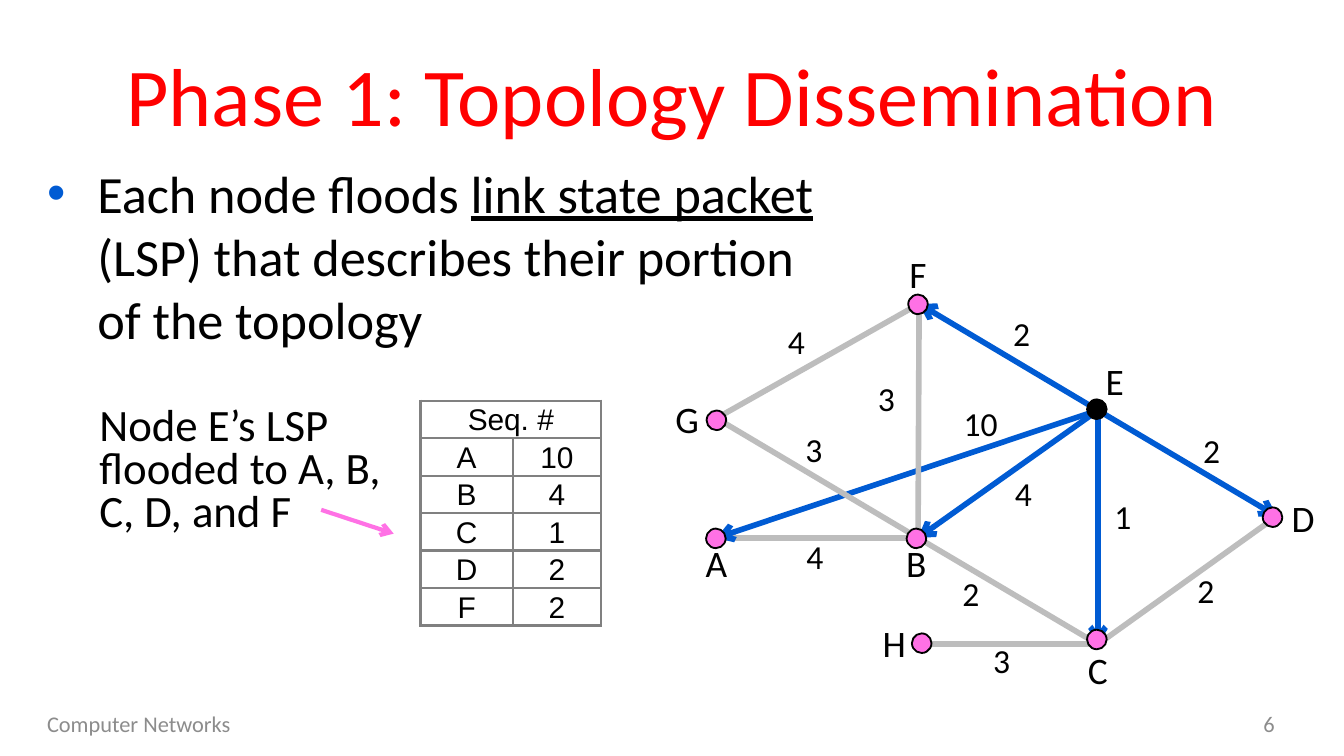
import lxml.etree
import pptx
import pptx.dml.color
import pptx.enum.shapes
import pptx.enum.text
import pptx.oxml.ns
import pptx.util

Cm = pptx.util.Cm
Pt = pptx.util.Pt
RGBColor = pptx.dml.color.RGBColor
ALIGN = pptx.enum.text.PP_ALIGN
ANCHOR = pptx.enum.text.MSO_ANCHOR

BLACK = RGBColor(0x00, 0x00, 0x00)
WHITE = RGBColor(0xFF, 0xFF, 0xFF)
RED = RGBColor(0xFF, 0x00, 0x00)
BLUE = RGBColor(0x00, 0x5B, 0xD3)
PINK = RGBColor(0xFF, 0x71, 0xE5)
LINK_GRAY = RGBColor(0xBD, 0xBD, 0xBD)
BORDER_GRAY = RGBColor(0x80, 0x80, 0x80)
FOOTER_GRAY = RGBColor(0x8C, 0x8C, 0x8C)

SOURCE = "E"  # the node that floods its packet

# node: (link joint, dot centre, label centre), in cm
NODES = {
    "D": ((24.13, 9.75), (24.05, 9.77), (24.63, 9.77)),
    "F": ((17.37, 5.74), (17.35, 5.75), (17.35, 5.17)),
    "B": ((17.35, 10.16), (17.32, 10.17), (17.32, 10.63)),
    "C": ((20.75, 12.17), (20.73, 12.08), (20.75, 12.64)),
    "E": ((20.75, 7.75), (20.73, 7.73), (21.07, 7.18)),
    "G": ((13.54, 7.9), (13.54, 7.94), (12.99, 7.91)),
    "H": ((17.35, 12.17), (17.42, 12.15), (16.9, 12.13)),
    "A": ((13.54, 10.16), (13.53, 10.17), (13.54, 10.63)),
}

# (start, end, weight, left and top of the weight in cm)
LINKS = [
    ("A", "B", "4", 15.11, 10.13),
    ("B", "C", "2", 18.06, 10.82),
    ("E", "C", "1", 20.93, 9.37),
    ("E", "B", "4", 19.05, 8.94),
    ("E", "A", "10", 18.08, 7.62),
    ("B", "F", "3", 16.46, 7.14),
    ("B", "G", "3", 15.09, 8.1),
    ("G", "F", "4", 14.76, 6.07),
    ("E", "F", "2", 19.02, 5.92),
    ("E", "D", "2", 22.61, 8.13),
    ("C", "D", "2", 22.5, 10.77),
    ("C", "H", "3", 18.64, 12.09),
]

PACKET = [("A", "10"), ("B", "4"), ("C", "1"), ("D", "2"), ("F", "2")]


def apply(target, values):
    for name, value in values.items():
        setattr(target, name, value)


def sub_element(parent, tag, **attributes):
    return lxml.etree.SubElement(parent, pptx.oxml.ns.qn(tag), attributes)


def add_solid_fill(parent, color):
    sub_element(sub_element(parent, "a:solidFill"), "a:srgbClr", val=str(color))


class SlideBuilder:
    font = "Calibri"
    dot_size = 0.37
    label_size = 1.1

    def __init__(self, slide):
        self.slide = slide

    def run(self, paragraph, text, size, color=BLACK, font=None, **values):
        run = paragraph.add_run()
        run.text = text
        apply(run.font, {"name": font or self.font, "size": Pt(size), **values})
        run.font.color.rgb = color

    def title(self, text, left, top, width, height):
        shape = self.slide.shapes.title
        apply(shape, {"left": Cm(left), "top": Cm(top), "width": Cm(width), "height": Cm(height)})
        frame = shape.text_frame
        apply(frame, {"auto_size": pptx.enum.text.MSO_AUTO_SIZE.NONE, "vertical_anchor": ANCHOR.MIDDLE})
        paragraph = frame.paragraphs[0]
        paragraph.alignment = ALIGN.CENTER
        self.run(paragraph, text, 44, RED)

    def text(self, text, left, top, width, height, size, color=BLACK,
             align=ALIGN.LEFT, spacing=None, **frame_values):
        """Add a text box and return its paragraph."""
        shape = self.slide.shapes.add_textbox(Cm(left), Cm(top), Cm(width), Cm(height))
        apply(shape.text_frame, {"word_wrap": True, **frame_values})
        paragraph = shape.text_frame.paragraphs[0]
        apply(paragraph, {"alignment": align, "line_spacing": spacing})
        self.run(paragraph, text, size, color)
        return paragraph

    def bullet(self, paragraph, color, indent):
        properties = paragraph._p.get_or_add_pPr()
        properties.set("marL", str(Cm(indent)))
        properties.set("indent", str(-Cm(indent)))
        sub_element(sub_element(properties, "a:buClr"), "a:srgbClr", val=str(color))
        sub_element(properties, "a:buFont", typeface="Arial")
        sub_element(properties, "a:buChar", char="•")

    def line(self, start, end, color, width, arrow=False):
        connector = self.slide.shapes.add_connector(
            pptx.enum.shapes.MSO_CONNECTOR.STRAIGHT, *map(Cm, start + end))
        connector.line.color.rgb = color
        connector.line.width = Pt(width)
        if arrow:
            sub_element(connector.line._get_or_add_ln(), "a:tailEnd", type="arrow")
        sub_element(connector._element.spPr, "a:effectLst")

    def dot(self, center, fill):
        left, top = (Cm(value - self.dot_size / 2) for value in center)
        shape = self.slide.shapes.add_shape(
            pptx.enum.shapes.MSO_SHAPE.OVAL, left, top, Cm(self.dot_size), Cm(self.dot_size))
        shape.shadow.inherit = False
        shape.fill.solid()
        shape.fill.fore_color.rgb = fill
        shape.line.color.rgb = BLACK
        shape.line.width = Pt(1)

    def node_label(self, text, center):
        left, top = (value - self.label_size / 2 for value in center)
        self.text(text, left, top, self.label_size, self.label_size, 20,
                  align=ALIGN.CENTER, word_wrap=False, vertical_anchor=ANCHOR.MIDDLE)

    def weight(self, text, left, top):
        self.text(text, left, top, 0.3 + 0.4 * len(text), 0.76, 18, word_wrap=False,
                  margin_left=Cm(0.13), margin_right=Cm(0.13), margin_top=0, margin_bottom=0)

    def cell(self, cell, text):
        apply(cell, {"margin_left": 0, "margin_right": 0, "margin_top": Cm(0.03),
                     "margin_bottom": 0, "vertical_anchor": ANCHOR.MIDDLE})
        properties = cell._tc.get_or_add_tcPr()
        for side in "LRTB":
            border = sub_element(properties, f"a:ln{side}", w=str(Pt(1.5)))
            add_solid_fill(border, BORDER_GRAY)
        cell.fill.solid()
        cell.fill.fore_color.rgb = WHITE
        paragraph = cell.text_frame.paragraphs[0]
        paragraph.alignment = ALIGN.CENTER
        if text:
            self.run(paragraph, text, 16, font="Arial")

    def table(self, rows, left, top, column_widths, row_height):
        """Add a table whose first row is merged into one heading."""
        table = self.slide.shapes.add_table(
            len(rows), len(column_widths), Cm(left), Cm(top),
            Cm(sum(column_widths)), Cm(row_height * len(rows))).table
        apply(table, {"first_row": False, "horz_banding": False})
        for column, width in zip(table.columns, column_widths):
            column.width = Cm(width)
        for row, texts in zip(table.rows, rows):
            row.height = Cm(row_height)
            for cell, text in zip(row.cells, texts):
                self.cell(cell, text)
        table.cell(0, 0).merge(table.cell(0, len(column_widths) - 1))


def main():
    presentation = pptx.Presentation()
    apply(presentation, {"slide_width": Cm(25.4), "slide_height": Cm(14.28)})
    builder = SlideBuilder(presentation.slides.add_slide(presentation.slide_layouts[5]))

    builder.title("Phase 1: Topology Dissemination", 0.64, 0.58, 24.13, 2.39)
    builder.text("Computer Networks", 0.64, 13.28, 8.05, 0.76, 12, FOOTER_GRAY,
                 vertical_anchor=ANCHOR.MIDDLE)
    builder.text("6", 18.42, 13.28, 5.92, 0.76, 12, FOOTER_GRAY, ALIGN.RIGHT,
                 vertical_anchor=ANCHOR.MIDDLE)

    body = builder.text("Each node floods ", 0.64, 2.92, 15.88, 9.96, 28)
    builder.bullet(body, BLUE, 0.95)
    builder.run(body, "link state packet ", 28, underline=True)
    builder.run(body, "(LSP) that describes their portion", 28)
    body.add_line_break()
    builder.run(body, "of the topology", 28)

    for start, end, *_ in LINKS:
        flooded = start == SOURCE
        builder.line(NODES[start][0], NODES[end][0], BLUE if flooded else LINK_GRAY, 3, flooded)
    for name, (_, center, _) in NODES.items():
        builder.dot(center, BLACK if name == SOURCE else PINK)
    for name, (_, _, center) in NODES.items():
        builder.node_label(name, center)
    for _, _, weight, left, top in LINKS:
        builder.weight(weight, left, top)

    builder.table([("Seq. #", "")] + PACKET, 7.95, 7.57, (1.74, 1.67), 0.7)
    builder.line((6.07, 9.63), (7.44, 10.08), PINK, 2.25, arrow=True)
    builder.text("Node E’s LSP flooded to A, B, C, D, and F", 1.63, 7.57, 5.82, 2.72, 24, spacing=0.8)

    presentation.save("out.pptx")


if __name__ == "__main__":
    main()
